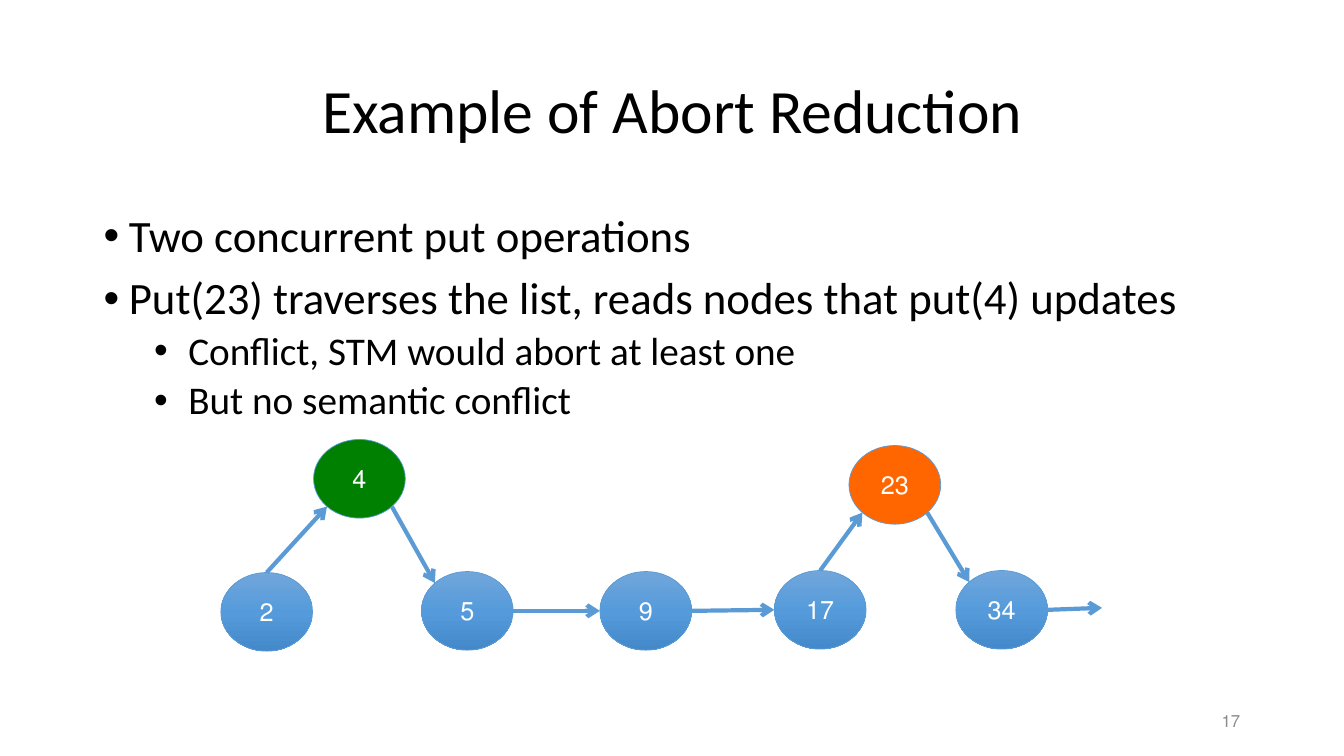
from copy import deepcopy
from dataclasses import dataclass
from math import sqrt

from lxml.etree import SubElement
from pptx import Presentation
from pptx.dml.color import RGBColor
from pptx.enum.shapes import MSO_CONNECTOR as Conn, MSO_SHAPE as Shape
from pptx.enum.text import MSO_ANCHOR as Anchor, PP_ALIGN as Align
from pptx.oxml.ns import qn
from pptx.util import Inches, Pt

FONT = "Calibri"
BLACK = RGBColor(0x00, 0x00, 0x00)
WHITE = RGBColor(0xFF, 0xFF, 0xFF)
GRAY = RGBColor(0x8C, 0x8C, 0x8C)
BLUE = RGBColor(0x5B, 0x9B, 0xD5)
GREEN = RGBColor(0x00, 0x80, 0x00)
ORANGE = RGBColor(0xFF, 0x66, 0x00)
SHADES = (
    (0.0, RGBColor(0x71, 0xA6, 0xDB)),
    (0.5, RGBColor(0x55, 0x9B, 0xDB)),
    (1.0, RGBColor(0x44, 0x8A, 0xCA)),
)
WIDTH, HEIGHT = 0.91, 0.78
DIAG = sqrt(0.5)

# Points on a node's rim, as shares of its half width and half height
TOP, LEFT, RIGHT = (0, -1), (-1, 0), (1, 0)
UP_LEFT, LOW_LEFT, LOW_RIGHT = (-DIAG, -DIAG), (-DIAG, DIAG), (DIAG, DIAG)


@dataclass
class Node:
    key: int
    left: float
    top: float
    color: RGBColor | None = None

    def rim(self, side: tuple[float, float]) -> tuple[float, float]:
        return (self.left + WIDTH / 2 * (1 + side[0]),
                self.top + HEIGHT / 2 * (1 + side[1]))


@dataclass
class Link:
    tail: int
    leave: tuple[float, float]
    head: int
    enter: tuple[float, float]


@dataclass
class Bullet:
    text: str
    size: int
    level: int
    left: float
    hang: float
    before: int


NODES = (
    Node(2, 2.19, 5.68),
    Node(5, 4.18, 5.67),
    Node(9, 5.95, 5.67),
    Node(17, 7.68, 5.66),
    Node(34, 9.48, 5.66),
    Node(4, 3.11, 4.36, GREEN),
    Node(23, 8.42, 4.42, ORANGE),
)
LINKS = (
    Link(2, TOP, 4, LOW_LEFT),
    Link(4, LOW_RIGHT, 5, UP_LEFT),
    Link(5, RIGHT, 9, LEFT),
    Link(9, RIGHT, 17, LEFT),
    Link(17, TOP, 23, LOW_LEFT),
    Link(23, LOW_RIGHT, 34, UP_LEFT),
)
LIST_END = (10.93, 6.03)
BULLETS = (
    Bullet("Two concurrent put operations", 32, 0, 0.25, 0.25, 0),
    Bullet("Put(23) traverses the list, reads nodes that put(4) updates",
           32, 0, 0.25, 0.25, 10),
    Bullet("Conflict, STM would abort at least one", 28, 1, 0.84, 0.34, 5),
    Bullet("But no semantic conflict", 28, 1, 0.84, 0.34, 5),
)


def style(para, size: int, color: RGBColor, align: Align) -> None:
    para.alignment = align
    for run in para.runs:
        run.font.name = FONT
        run.font.size = Pt(size)
        run.font.color.rgb = color


def add_title(slide, text: str) -> None:
    title = slide.shapes.title
    title.left, title.top = Inches(0.92), Inches(0.4)
    title.width, title.height = Inches(11.5), Inches(1.45)
    frame = title.text_frame
    frame.text = text
    frame.vertical_anchor = Anchor.MIDDLE
    para = frame.paragraphs[0]
    para.line_spacing = 0.9
    style(para, 44, BLACK, Align.CENTER)


def add_body(slide) -> None:
    box = slide.shapes.add_textbox(
        Inches(0.93), Inches(2.07), Inches(11.5), Inches(4.76))
    frame = box.text_frame
    frame.word_wrap = True
    for i, item in enumerate(BULLETS):
        para = frame.add_paragraph() if i else frame.paragraphs[0]
        para.text = item.text
        para.level = item.level
        props = para._p.get_or_add_pPr()
        props.set("marL", str(Inches(item.left)))
        props.set("indent", str(-Inches(item.hang)))
        SubElement(props, qn("a:buFont"), typeface="Arial")
        SubElement(props, qn("a:buChar"), char="•")
        para.line_spacing = 0.9
        para.space_before = Pt(item.before)
        style(para, item.size, BLACK, Align.LEFT)


def add_number(slide, text: str) -> None:
    box = slide.shapes.add_textbox(
        Inches(9.4), Inches(6.95), Inches(3), Inches(0.4))
    frame = box.text_frame
    frame.word_wrap = True
    frame.vertical_anchor = Anchor.MIDDLE
    frame.text = text
    para = frame.paragraphs[0]
    style(para, 12, GRAY, Align.RIGHT)
    para._p.get_or_add_pPr().set("rtl", "1")


def shade(shape) -> None:
    """Fill the shape with the three-stop vertical gradient."""
    fill = shape.fill
    fill.gradient()
    fill.gradient_angle = 270
    first = shape._element.spPr.find(".//" + qn("a:gs"))
    first.addnext(deepcopy(first))
    for stop, (place, color) in zip(fill.gradient_stops, SHADES):
        stop.position = place
        stop.color.rgb = color


def add_node(slide, node: Node) -> None:
    oval = slide.shapes.add_shape(
        Shape.OVAL, Inches(node.left), Inches(node.top),
        Inches(WIDTH), Inches(HEIGHT))
    oval.shadow.inherit = False
    if node.color is None:
        shade(oval)
    else:
        oval.fill.solid()
        oval.fill.fore_color.rgb = node.color
    oval.line.color.rgb = BLUE
    oval.line.width = Pt(0.5)
    frame = oval.text_frame
    frame.vertical_anchor = Anchor.MIDDLE
    frame.text = str(node.key)
    para = frame.paragraphs[0]
    style(para, 18, WHITE, Align.CENTER)
    para._p.get_or_add_pPr().set("rtl", "1")


def add_arrow(slide, start: tuple[float, float],
              end: tuple[float, float]) -> None:
    arrow = slide.shapes.add_connector(
        Conn.STRAIGHT, *(Inches(n) for n in start + end))
    arrow.line.color.rgb = BLUE
    arrow.line.width = Pt(3)
    SubElement(arrow.line._get_or_add_ln(), qn("a:tailEnd"), type="arrow")
    SubElement(arrow._element.spPr, qn("a:effectLst"))


def main() -> None:
    deck = Presentation()
    deck.slide_width, deck.slide_height = Inches(13.33), Inches(7.5)
    slide = deck.slides.add_slide(deck.slide_layouts[5])
    add_title(slide, "Example of Abort Reduction")
    add_body(slide)
    add_number(slide, "17")
    for node in NODES:
        add_node(slide, node)
    by_key = {node.key: node for node in NODES}
    for link in LINKS:
        add_arrow(slide, by_key[link.tail].rim(link.leave),
                  by_key[link.head].rim(link.enter))
    add_arrow(slide, by_key[34].rim(RIGHT), LIST_END)
    deck.save("out.pptx")


if __name__ == "__main__":
    main()
